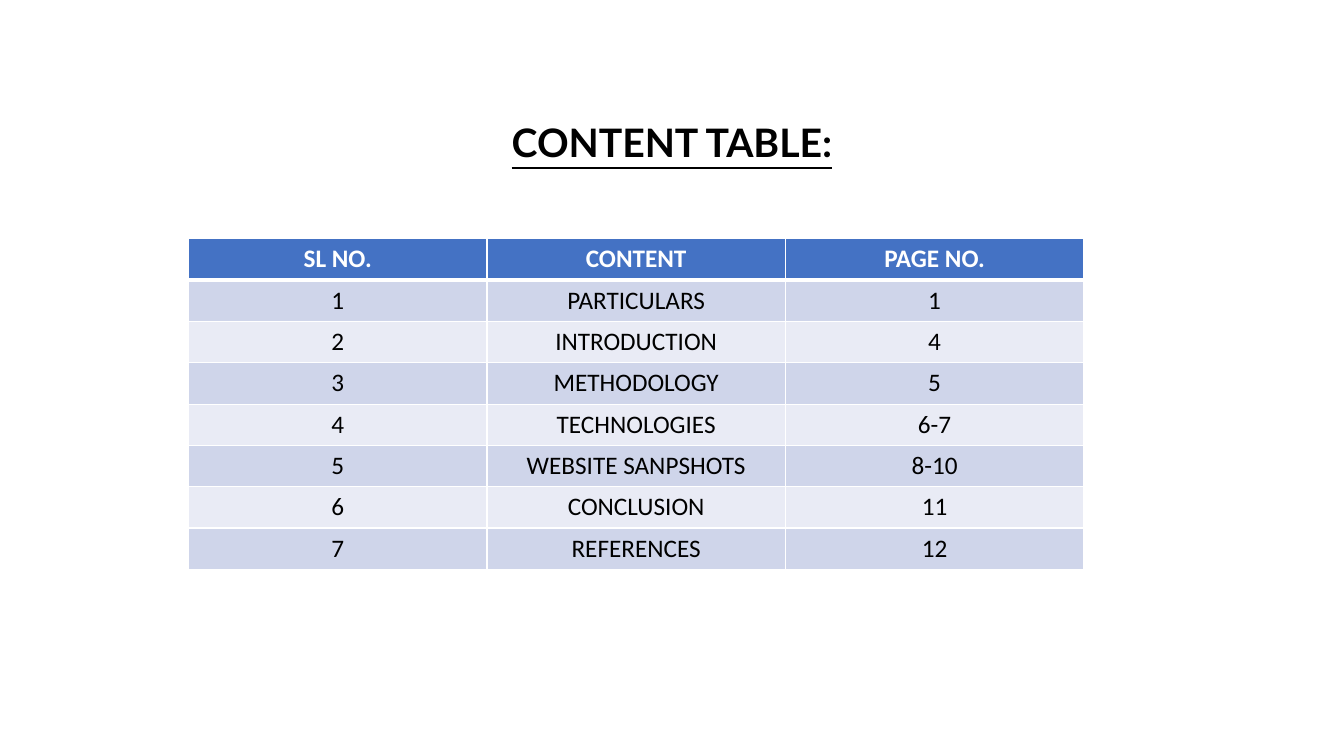
from lxml.etree import SubElement
from pptx import Presentation
from pptx.dml.color import RGBColor
from pptx.enum.text import MSO_ANCHOR as Anchor, PP_ALIGN as Align
from pptx.oxml.ns import qn
from pptx.util import Inches, Pt

HEADINGS = ("SL NO.", "CONTENT", "PAGE NO.")
CONTENTS = (
    ("PARTICULARS", "1"),
    ("INTRODUCTION", "4"),
    ("METHODOLOGY", "5"),
    ("TECHNOLOGIES", "6-7"),
    ("WEBSITE SANPSHOTS", "8-10"),
    ("CONCLUSION", "11"),
    ("REFERENCES", "12"),
)
WHITE, BLACK, HEADER_BLUE = "FFFFFF", "000000", "4472C4"
BANDS = ("CFD5EA", "E9EBF5")
COLUMN_WIDTH, ROW_HEIGHT = 2.96, 0.41


def color(hex_string):
    return RGBColor.from_string(hex_string)


def write(frame, text, font="Calibri", size=18, ink=BLACK, bold=False, underline=False):
    paragraph = frame.paragraphs[0]
    paragraph.alignment = Align.CENTER
    run = paragraph.add_run()
    run.text = text
    run.font.name = font
    run.font.size = Pt(size)
    run.font.bold = bold
    run.font.underline = underline
    run.font.color.rgb = color(ink)


def add_title(slide, text):
    title = slide.shapes.add_textbox(Inches(0), Inches(1.11), Inches(13.33), Inches(0.6))
    title.text_frame.word_wrap = True
    title.text_frame.vertical_anchor = Anchor.MIDDLE
    write(title.text_frame, text, font="Lato", size=28, bold=True, underline=True)


def set_borders(cell, top=1, bottom=1):
    properties = cell._tc.get_or_add_tcPr()
    widths = {"a:lnL": 1, "a:lnR": 1, "a:lnT": top, "a:lnB": bottom}
    for side, width in widths.items():
        border = SubElement(properties, qn(side), w=str(Pt(width)))
        fill = SubElement(border, qn("a:solidFill"))
        SubElement(fill, qn("a:srgbClr"), val=WHITE)


def fill_cell(cell, text, background, top=1, bottom=1, **text_format):
    set_borders(cell, top, bottom)
    cell.fill.solid()
    cell.fill.fore_color.rgb = color(background)
    write(cell.text_frame, text, **text_format)


def add_contents_table(slide, left, top):
    row_count, column_count = len(CONTENTS) + 1, len(HEADINGS)
    contents = slide.shapes.add_table(
        row_count, column_count, Inches(left), Inches(top),
        Inches(COLUMN_WIDTH * column_count), Inches(ROW_HEIGHT * row_count),
    ).table
    for column, heading in enumerate(HEADINGS):
        fill_cell(contents.cell(0, column), heading, HEADER_BLUE,
                  bottom=3, ink=WHITE, bold=True)
    for number, entry in enumerate(CONTENTS, start=1):
        for column, text in enumerate((str(number), *entry)):
            fill_cell(contents.cell(number, column), text, BANDS[(number - 1) % 2],
                      top=3 if number == 1 else 1)


def main():
    deck = Presentation()
    deck.slide_width, deck.slide_height = Inches(13.33), Inches(7.5)
    slide = deck.slides.add_slide(deck.slide_layouts[6])
    add_title(slide, "CONTENT TABLE:")
    add_contents_table(slide, 1.87, 2.37)
    deck.save("out.pptx")


if __name__ == "__main__":
    main()
